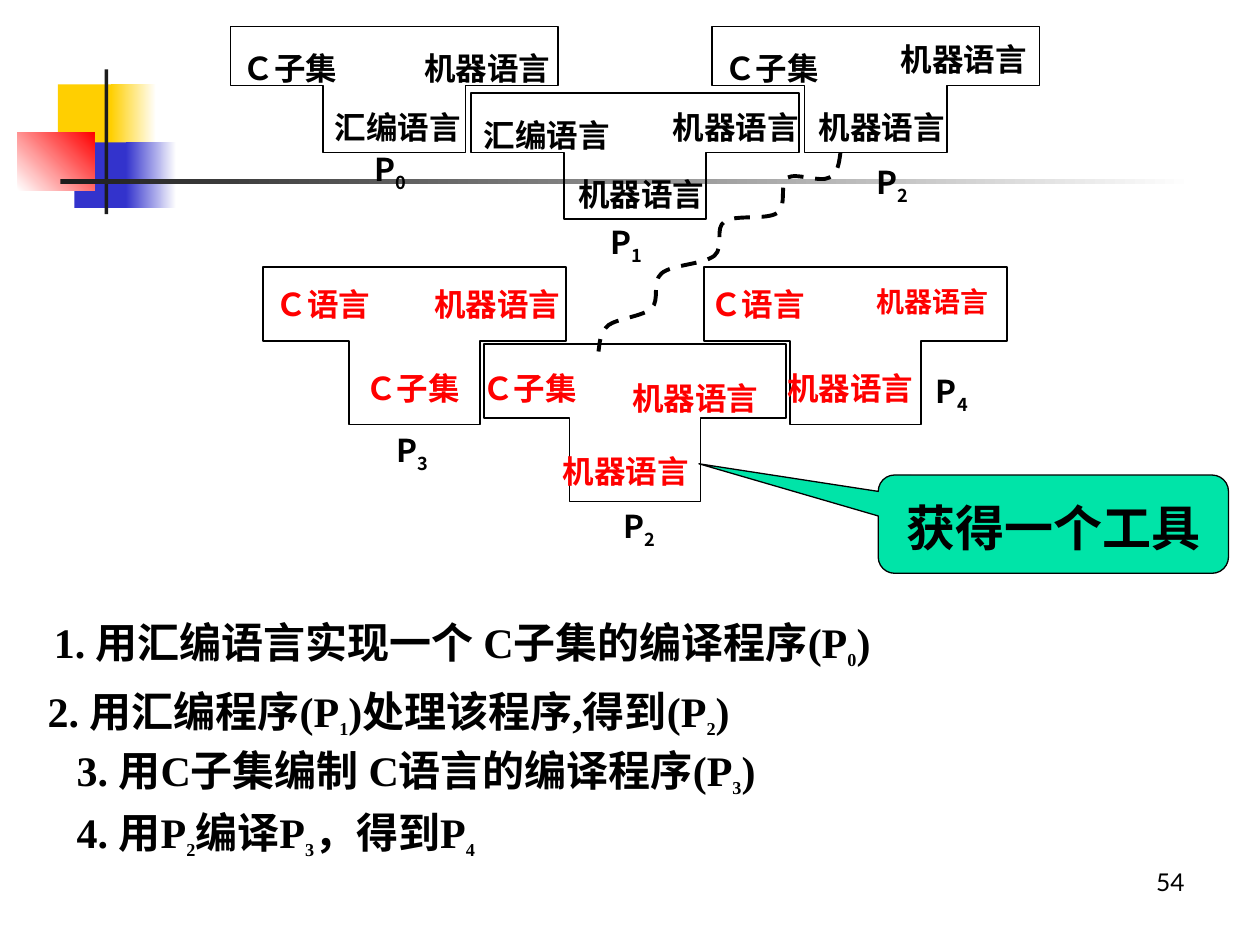
import pptx
import pptx.util
import pptx.dml.color
import pptx.enum.dml
import pptx.enum.shapes
import pptx.enum.text
import pptx.oxml
import pptx.oxml.ns

Inches = pptx.util.Inches
Pt = pptx.util.Pt
qn = pptx.oxml.ns.qn
RECTANGLE = pptx.enum.shapes.MSO_SHAPE.RECTANGLE
CALLOUT = pptx.enum.shapes.MSO_SHAPE.ROUNDED_RECTANGULAR_CALLOUT
ALIGN = pptx.enum.text.PP_ALIGN
SANS, SERIF = "Noto Sans CJK SC", "Times New Roman"

COLORS = {
    "black": "000000", "white": "FFFFFF", "red": "FF0000", "yellow": "FFCF01",
    "blue": "3333CC", "charcoal": "1C1C1C", "mint": "00E4A8",
}


def color(name):
    return pptx.dml.color.RGBColor.from_string(COLORS[name])


def write_text(shape, text, size, font_name, color_name="black", bold=True,
               line_spacing=None, align=None, subscript_size=None):
    paragraph = shape.text_frame.paragraphs[0]
    paragraph.alignment = align
    paragraph.line_spacing = line_spacing
    paragraph.font.size = Pt(size)
    paragraph.font.bold = bold
    paragraph.font.color.rgb = color(color_name)
    paragraph.font.name = font_name
    defaults = paragraph._p.pPr.find(qn("a:defRPr"))
    pptx.oxml.xmlchemy.OxmlElement("a:ea")
    east_asian = defaults.makeelement(qn("a:ea"), {"typeface": SANS})
    defaults.append(east_asian)
    for index, piece in enumerate(text.split("_")):
        if index:
            subscript = paragraph.add_run()
            subscript.text = piece[0]
            subscript._r.get_or_add_rPr().set("baseline", "-25000")
            if subscript_size:
                subscript.font.size = Pt(subscript_size)
            piece = piece[1:]
        if piece:
            paragraph.add_run().text = piece


presentation = pptx.Presentation()
presentation.slide_width = Inches(10)
presentation.slide_height = Inches(7.5)
slide = presentation.slides.add_slide(presentation.slide_layouts[6])
shapes = slide.shapes

decorations = [
    (0.46, 0.67, 0.48, 0.52, ["yellow"], 0),
    (0.88, 0.67, 0.36, 0.52, ["yellow", "white"], 0),
    (0.59, 1.13, 0.46, 0.52, ["blue"], 0),
    (1.0, 1.13, 0.4, 0.52, ["blue", "white"], 0),
    (0.14, 1.05, 0.61, 0.46, ["white", "red"], 45),
    (0.83, 0.55, 0.03, 1.15, ["charcoal"], 0),
    (0.48, 1.42, 9, 0.04, ["charcoal", "white"], 0),
]
for left, top, width, height, fills, angle in decorations:
    shape = shapes.add_shape(RECTANGLE, Inches(left), Inches(top), Inches(width), Inches(height))
    shape.shadow.inherit = False
    shape.line.fill.background()
    if len(fills) == 1:
        shape.fill.solid()
        shape.fill.fore_color.rgb = color(fills[0])
    else:
        shape.fill.gradient()
        shape.fill.gradient_angle = angle
        for stop, name, position in zip(shape.fill.gradient_stops, fills, (0, 1)):
            stop.color.rgb = color(name)
            stop.position = position

t_diagrams = [
    (1.83, 0.21, 2.6, 1.0), (3.74, 0.74, 2.6, 1.0), (5.65, 0.21, 2.6, 1.0),
    (2.09, 2.12, 2.4, 1.25), (3.84, 2.73, 2.4, 1.25), (5.59, 2.12, 2.4, 1.25),
]
for left, top, width, height in t_diagrams:
    stem_left, stem_right = left + 0.283 * width, left + 0.717 * width
    right, shoulder, bottom = left + width, top + 0.47 * height, top + height
    corners = [
        (left, shoulder), (stem_left, shoulder), (stem_left, bottom),
        (stem_right, bottom), (stem_right, shoulder), (right, shoulder), (right, top),
    ]
    builder = shapes.build_freeform(Inches(left), Inches(top))
    builder.add_line_segments([(Inches(x), Inches(y)) for x, y in corners], close=True)
    shape = builder.convert_to_shape()
    shape.shadow.inherit = False
    shape.fill.background()
    shape.line.color.rgb = color("black")
    shape.line.width = Pt(1)

curve_points = [
    (6.66, 1.29), (6.65, 1.38), (6.58, 1.41), (6.51, 1.45), (6.32, 1.37), (6.25, 1.41),
    (6.18, 1.46), (6.25, 1.63), (6.17, 1.69), (6.08, 1.75), (5.83, 1.7), (5.75, 1.76),
    (5.67, 1.81), (5.75, 1.96), (5.67, 2.03), (5.58, 2.1), (5.33, 2.1), (5.25, 2.17),
    (5.17, 2.24), (5.24, 2.38), (5.17, 2.45), (5.1, 2.51), (4.9, 2.53), (4.83, 2.58),
    (4.76, 2.64), (4.76, 2.72), (4.75, 2.79),
]
builder = shapes.build_freeform(Inches(6.67), Inches(1.21))
builder.add_line_segments([(Inches(x), Inches(y)) for x, y in curve_points], close=False)
curve = builder.convert_to_shape()
curve.shadow.inherit = False
curve.fill.background()
curve.line.color.rgb = color("black")
curve.line.width = Pt(2.25)
curve.line.dash_style = pptx.enum.dml.MSO_LINE.DASH
segments = list(curve._element.iter(qn("a:lnTo")))
outline = segments[0].getparent()
for start in range(0, len(segments), 3):
    bezier = outline.makeelement(qn("a:cubicBezTo"), {})
    outline.append(bezier)
    for segment in segments[start:start + 3]:
        bezier.append(segment[0])
        outline.remove(segment)

callout = shapes.add_shape(CALLOUT, Inches(6.97), Inches(3.77), Inches(2.78), Inches(0.78))
for index, adjustment in enumerate((-1.012, -0.615, 0.167)):
    callout.adjustments[index] = adjustment
callout.shadow.inherit = False
callout.fill.solid()
callout.fill.fore_color.rgb = color("mint")
callout.line.color.rgb = color("black")
callout.line.width = Pt(0.75)
write_text(callout, "获得一个工具", 28, SANS, line_spacing=1.1, align=ALIGN.CENTER)

language = {"size": 18, "font_name": SERIF}
target = {"size": 18, "font_name": SERIF, "color_name": "red"}
small_target = {**target, "size": 16}
program = {"size": 18, "font_name": SANS, "line_spacing": 1.1}
step = {"size": 24, "font_name": SERIF, "line_spacing": 1.2, "subscript_size": 18}
tight_step = {**step, "line_spacing": 1.1}
page_number = {"size": 14, "font_name": "Lato", "bold": False, "align": ALIGN.RIGHT}

texts = [
    ("Ｃ子集", 1.83, 0.34, 0.96, 0.4, language),
    ("机器语言", 3.27, 0.34, 1.26, 0.4, language),
    ("汇编语言", 2.56, 0.81, 1.23, 0.4, language),
    ("汇编语言", 3.74, 0.87, 1.26, 0.4, language),
    ("机器语言", 5.24, 0.81, 1.27, 0.4, language),
    ("机器语言", 4.49, 1.34, 1.22, 0.4, language),
    ("Ｃ子集", 5.65, 0.34, 1.01, 0.4, language),
    ("机器语言", 7.05, 0.27, 1.31, 0.4, language),
    ("机器语言", 6.4, 0.81, 1.28, 0.4, language),
    ("Ｃ语言", 2.09, 2.21, 1.02, 0.4, target),
    ("机器语言", 3.35, 2.21, 1.26, 0.4, target),
    ("Ｃ子集", 2.8, 2.88, 1.02, 0.4, target),
    ("Ｃ子集", 3.73, 2.88, 1.03, 0.4, target),
    ("机器语言", 4.92, 2.96, 1.35, 0.4, target),
    ("机器语言", 4.37, 3.54, 1.26, 0.4, target),
    ("Ｃ语言", 5.54, 2.21, 1.04, 0.4, target),
    ("机器语言", 6.86, 2.21, 1.13, 0.37, small_target),
    ("机器语言", 6.15, 2.88, 1.29, 0.4, target),
    ("P_0", 2.87, 1.11, 1.22, 0.48, program),
    ("P_1", 4.75, 1.69, 0.98, 0.48, program),
    ("P_2", 6.86, 1.21, 0.98, 0.48, program),
    ("P_3", 3.05, 3.34, 0.85, 0.48, program),
    ("P_2", 4.85, 3.94, 0.98, 0.48, program),
    ("P_4", 7.33, 2.87, 0.85, 0.48, program),
    ("1. 用汇编语言实现一个 C子集的编译程序(P_0)", 0.33, 4.76, 7, 0.61, step),
    ("2. 用汇编程序(P_1)处理该程序,得到(P_2)", 0.28, 5.31, 6.09, 0.61, step),
    ("3. 用C子集编制 C语言的编译程序(P_3)", 0.51, 5.82, 6.59, 0.57, tight_step),
    ("4. 用P_2编译P_3，得到P_4", 0.51, 6.27, 8.59, 0.61, step),
    ("54", 7.17, 6.83, 2.33, 0.52, page_number),
]
for text, left, top, width, height, style in texts:
    shape = shapes.add_textbox(Inches(left), Inches(top), Inches(width), Inches(height))
    shape.text_frame.word_wrap = True
    write_text(shape, text, **style)

presentation.save("out.pptx")
